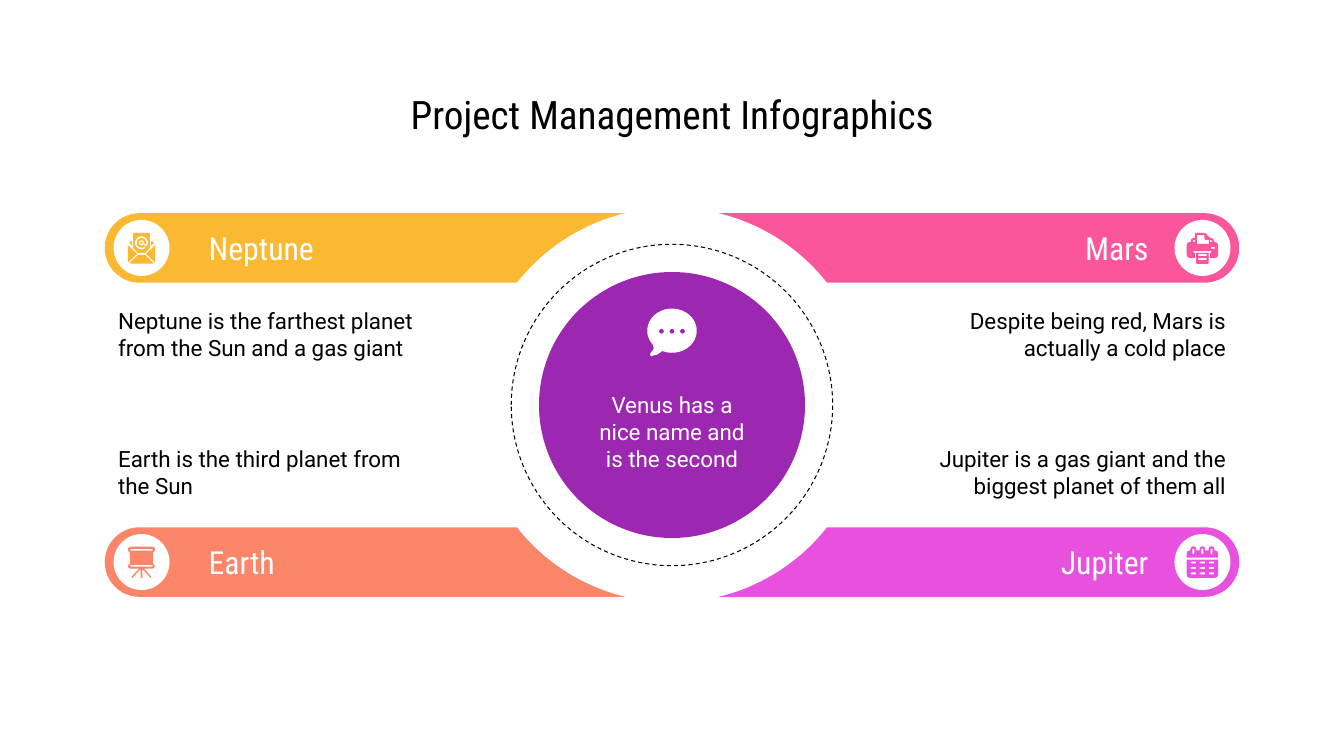
"""Build the project management infographic slide."""
from math import cos, sin, radians
from pptx import Presentation
from pptx.dml.color import RGBColor
from pptx.enum.dml import MSO_LINE
from pptx.enum.shapes import MSO_SHAPE as Kind
from pptx.enum.text import MSO_ANCHOR as Anchor, PP_ALIGN as Align
from pptx.util import Pt

MID_X, MID_Y = 480, 289.3
PAD = 9.6


def tint(code):
    return RGBColor.from_string(code)


def arc(x, y, rx, ry, start=0, end=360, step=10):
    turn = step if end > start else -step
    angles = [radians(a) for a in [*range(start, end, turn), end]]
    return [(x + rx * cos(a), y + ry * sin(a)) for a in angles]


def pill(x, y, w, h):
    r = h / 2
    return (arc(x + w - r, y + r, r, r, -90, 90, 30)
            + arc(x + r, y + r, r, r, 90, 270, 30))


def flip(points):
    return [(-x, y) for x, y in reversed(points)]


class Deck:
    """Hold the style and the current slide."""

    head, body = "Roboto Condensed", "Roboto"

    def __init__(self):
        self.show = Presentation()
        self.show.slide_width, self.show.slide_height = Pt(960), Pt(540)
        self.slide = self.show.slides.add_slide(self.show.slide_layouts[6])

    def paint(self, shape, fill):
        shape.shadow.inherit = False
        shape.line.fill.background()
        if fill:
            shape.fill.solid()
            shape.fill.fore_color.rgb = tint(fill)
        else:
            shape.fill.background()
        return shape

    def letter(self, shape, text, font, size, color, align,
               left=PAD, top=PAD, right=PAD):
        frame = shape.text_frame
        frame.word_wrap = True
        frame.vertical_anchor = Anchor.MIDDLE
        frame.margin_left, frame.margin_top = Pt(left), Pt(top)
        frame.margin_right, frame.margin_bottom = Pt(right), Pt(PAD)
        frame.text = text
        line = frame.paragraphs[0]
        line.alignment = align
        face = line.runs[0].font
        face.name, face.size = font, Pt(size)
        face.color.rgb = tint(color)

    def label(self, x, y, w, h, text, font, size, align):
        box = self.slide.shapes.add_textbox(Pt(x), Pt(y), Pt(w), Pt(h))
        self.letter(box, text, font, size, "000000", align)

    def disc(self, x, y, size, fill=None):
        shape = self.slide.shapes.add_shape(
            Kind.OVAL, Pt(x - size / 2), Pt(y - size / 2), Pt(size), Pt(size))
        return self.paint(shape, fill)

    def bar(self, x, y, w, h, fill, text, align, left, right):
        shape = self.slide.shapes.add_shape(
            Kind.ROUNDED_RECTANGLE, Pt(x), Pt(y), Pt(w), Pt(h))
        shape.adjustments[0] = 0.5
        self.paint(shape, fill)
        self.letter(shape, text, self.head, 22.7, "FFFFFF", align,
                    left=left, right=right)

    def icon(self, x, y, fill, parts):
        for part in parts:
            pen = None
            for loop in part:
                spots = [(Pt(x + dx), Pt(y + dy)) for dx, dy in loop]
                if pen:
                    pen.move_to(*spots[0])
                else:
                    pen = self.slide.shapes.build_freeform(*spots[0], scale=1)
                pen.add_line_segments(spots[1:], close=True)
            self.paint(pen.convert_to_shape(), fill)


def mail():
    side = [(-9.8, -2.2), (-9.8, 9.4), (-9.4, 10.2), (-3.2, 4.3)]
    ear = [(-6.8, -5), (-9, -3.6), (-6.8, -1.4)]
    base = [(-2.5, 5), (-8.6, 10.8), (-7.8, 11.3)]
    sheet = [(-2.5, 3.6), (-6, 0), (-6, -10), (-5.4, -10.8)]
    sign = (arc(0, -3.6, 4.7, 4.7, 50, 360)
            + [(4.2, -2), (3, -1.3), (1.6, -1.9)]
            + arc(0, -3.6, 1.9, 1.9, 60, 360)
            + [(2.2, -2.8), (2.8, -2.5), (3.3, -3)]
            + arc(0, -3.6, 3.4, 3.4, 360, 50))
    return [[side], [flip(side)], [arc(0, -3.6, 0.8, 0.8)],
            [base + flip(base)], [ear], [flip(ear)],
            [sheet + flip(sheet), sign]]


def easel():
    half = [(8, -11), (9.4, -10.2), (9.7, -9), (9.2, -7.6), (8.3, -6.8),
            (8.3, 1.2), (9.5, 2.2), (9.5, 3.8), (8, 4.7), (1.8, 4.7),
            (7.2, 10.6), (6.5, 11.3), (0.6, 5), (0.6, 11.2)]
    return [[half + flip(half), pill(-8, -9.5, 16, 1.4),
             pill(-8, 1.9, 16, 1.4)]]


def printer():
    tray = [(-4.5, 3.5), (-4.5, 10.8), (-4, 11.4)]
    lines = [pill(-3.2, y, 6.4, 1.4) for y in (4.4, 7.3)]
    case = [(1.8, -10.8), (-4.7, -10.8), (-5.4, -10.1), (-5.4, -7.2),
            (-6.1, -7.2), (-7.7, -6.5), (-8.3, -5), (-8.3, -4.3), (-9, -4.3),
            (-10.6, -3.7), (-11.2, -2.2), (-11.2, 5), (-10.6, 6.6), (-9, 7.2),
            (-5.4, 7.2), (-5.4, 3.6), (-6.6, 2.9), (-6.1, 2.2), (6.1, 2.2),
            (6.6, 2.9), (5.4, 3.6), (5.4, 7.2), (9, 7.2), (10.6, 6.6),
            (11.2, 5), (11.2, -2.2), (10.6, -3.7), (9, -4.3), (8.3, -4.3),
            (8.3, -5), (7.7, -6.5), (6.1, -7.2), (5.4, -7.2)]
    page = [(1.4, -9.4), (1.4, -6.5), (2.2, -5.8), (4.7, -5.8),
            (4.7, -2.9), (-4, -2.9), (-4, -9.4)]
    slot = [(-5.4, -5.8), (-5.4, -4.3), (-6.8, -4.3), (-6.8, -5), (-6.1, -5.8)]
    return [[tray + flip(tray), *lines],
            [case, page, slot, flip(slot), pill(6.1, -0.7, 2.9, 1.4)]]


def dates():
    cols = (-6.5, 0, 6.5)
    sheet = [(-11.2, -1.8), (-11.2, 9), (-10.6, 10.6), (-9, 11.2)]
    days = [pill(c - 2, -0.4 + 3.9 * row, 4, 1.4)
            for row in range(3) for c in cols]
    top = [(-11.2, -3.2), (-11.2, -6.2), (-10.6, -7.7), (-9, -8.3)]
    for c in cols:
        top += [(c - 2, -8.3)] + arc(c, -9.2, 2, 2, 180, 360) + [(c + 2, -8.3)]
    top += [(9, -8.3), (10.6, -7.7), (11.2, -6.2), (11.2, -3.2)]
    rings = [[(c - 0.7, -9.2), (c, -9.8), (c + 0.7, -9.2),
              (c + 0.7, -6), (c, -5.4), (c - 0.7, -6)] for c in cols]
    return [[sheet + flip(sheet), *days], [top, *rings]]


def chat():
    tail = [(-13, 13), (-15.4, 16), (-15.6, 17.4), (-14.7, 18.2), (-10.5, 17)]
    dots = [arc(x, 0.4, 1.7, 1.7) for x in (-7.5, 0, 7.5)]
    return [[arc(0, 0, 17.7, 15.8, 473, 140) + tail, *dots]]


def main():
    deck = Deck()
    topics = [
        ("Neptune", "Neptune is the farthest planet from the Sun and a gas giant",
         "FBB831", -1, -1, mail),
        ("Earth", "Earth is the third planet from the Sun", "FB8569", -1, 1, easel),
        ("Mars", "Despite being red, Mars is actually a cold place",
         "FB569C", 1, -1, printer),
        ("Jupiter", "Jupiter is a gas giant and the biggest planet of them all",
         "E850E0", 1, 1, dates)]
    wide, high = 405.2, 49.7
    for name, note, fill, side, row, draw in topics:
        left = side < 0
        align = Align.LEFT if left else Align.RIGHT
        y = MID_Y + row * 112.2
        deck.bar(MID_X - wide if left else MID_X, y - high / 2, wide, high,
                 fill, name, align, 67 if left else PAD, PAD if left else 57.6)
        deck.label(MID_X - wide if left else MID_X + wide - 237.6,
                   210.2 if row < 0 else 308.9, 237.6, 56.2,
                   note, deck.body, 16, align)
        x = MID_X + side * 378.9
        deck.disc(x, y, 40, "FFFFFF")
        deck.icon(x, y, fill, draw())
    deck.label(MID_X - wide, 56.2, 2 * wide, 50.4,
               "Project Management Infographics", deck.head, 28, Align.CENTER)
    deck.disc(MID_X, MID_Y, 282, "FFFFFF")
    ring = deck.disc(MID_X, MID_Y, 229.6).line
    ring.color.rgb = tint("000000")
    ring.width, ring.dash_style = Pt(0.75), MSO_LINE.DASH
    hub = deck.disc(MID_X, MID_Y, 190, "9C27B0")
    deck.letter(hub, "Venus has a nice name and is the second", deck.body, 16,
                "FFFFFF", Align.CENTER, top=48)
    deck.icon(MID_X, 236.2, "FFFFFF", chat())
    deck.show.save("out.pptx")


if __name__ == "__main__":
    main()
